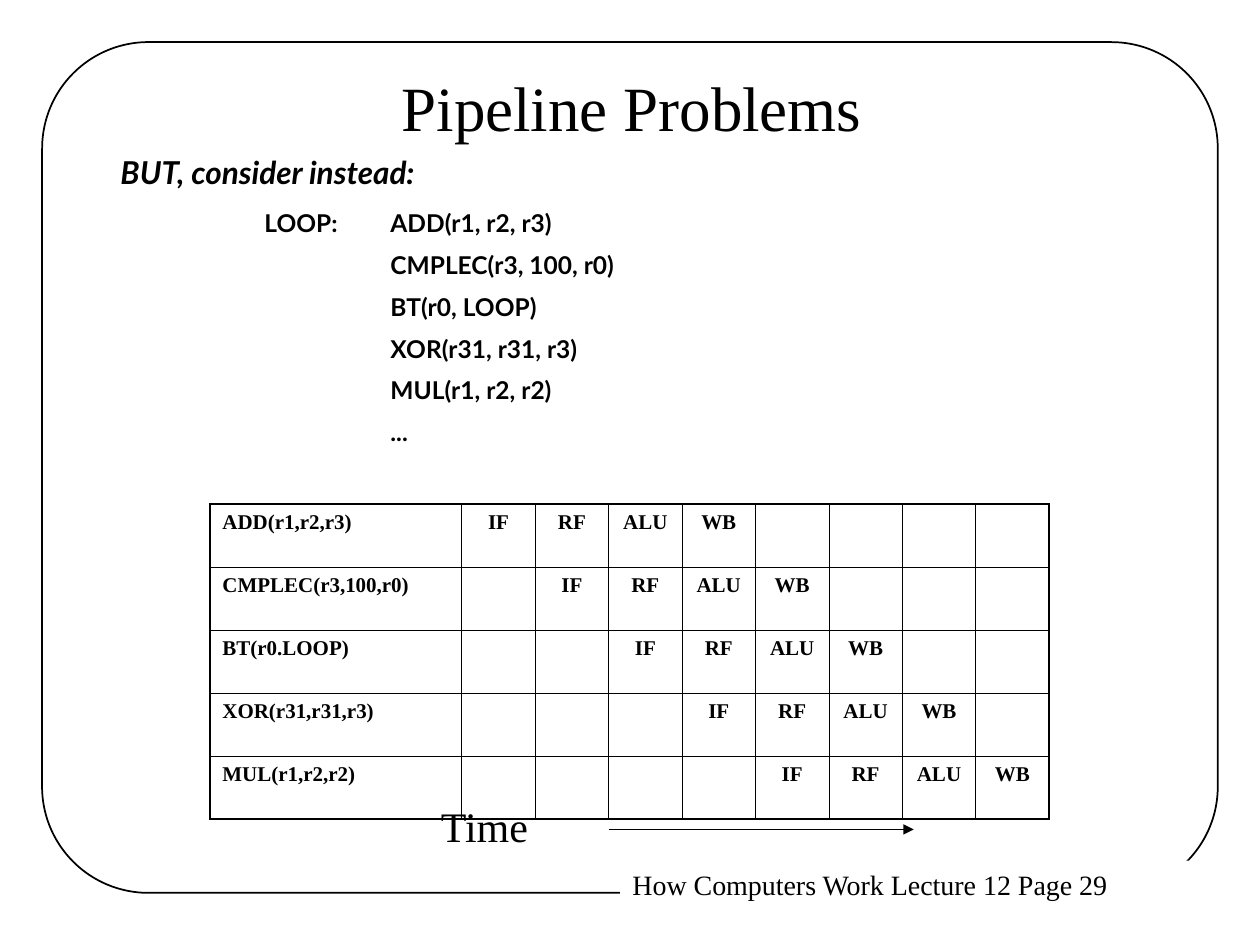
from lxml import etree
from pptx import Presentation
from pptx.dml.color import RGBColor
from pptx.enum.shapes import MSO_CONNECTOR, MSO_SHAPE
from pptx.enum.text import MSO_ANCHOR, MSO_AUTO_SIZE, PP_ALIGN
from pptx.oxml.ns import qn
from pptx.util import Cm, Pt

ROUNDED, RECTANGLE = MSO_SHAPE.ROUNDED_RECTANGLE, MSO_SHAPE.RECTANGLE
STRAIGHT = MSO_CONNECTOR.STRAIGHT
TOP, MIDDLE = MSO_ANCHOR.TOP, MSO_ANCHOR.MIDDLE
LEFT, CENTER = PP_ALIGN.LEFT, PP_ALIGN.CENTER
NO_FIT = MSO_AUTO_SIZE.NONE

# Content
TITLE = "Pipeline Problems"
LEAD = "BUT, consider instead:"
PROGRAM = [
    "LOOP:\tADD(r1, r2, r3)",
    "CMPLEC(r3, 100, r0)",
    "BT(r0, LOOP)",
    "XOR(r31, r31, r3)",
    "MUL(r1, r2, r2)",
    "...",
]
INSTRUCTIONS = ["ADD(r1,r2,r3)", "CMPLEC(r3,100,r0)", "BT(r0.LOOP)",
                "XOR(r31,r31,r3)", "MUL(r1,r2,r2)"]
STAGES = ["IF", "RF", "ALU", "WB"]
AXIS = "Time"
FOOTER = "How Computers Work Lecture 12 Page 29"

THEME = {
    "ink": RGBColor(0, 0, 0), "paper": RGBColor(255, 255, 255),
    "serif": "Times New Roman", "sans": "Lato",
    "title": 36, "axis": 24, "lead": 18, "footer": 16, "code": 14, "cell": 12,
    "rule": 1, "grid": 0.45, "edge": 1.08,
}

# Layout
CODE_INDENT = Cm(2.54)
NAME_WIDTH, CYCLE_WIDTH, ROW_HEIGHT = Cm(5.08), Cm(1.48), Cm(1.27)
CYCLES = len(INSTRUCTIONS) + len(STAGES) - 1


def write(paragraph, text, size, font="serif", bold=False, italic=False,
          align=LEFT, spacing=None, before=0):
    paragraph.alignment = align
    paragraph.space_before = Pt(before)
    if spacing:
        paragraph.line_spacing = spacing
    run = paragraph.add_run()
    run.text = text
    run.font.name = THEME[font]
    run.font.size = Pt(THEME[size])
    run.font.bold, run.font.italic = bold, italic
    run.font.color.rgb = THEME["ink"]


def prepare(frame, anchor=TOP, wrap=True, side=Cm(0.25), edge=Cm(0.13)):
    frame.word_wrap = wrap
    frame.auto_size = NO_FIT
    frame.vertical_anchor = anchor
    frame.margin_left = frame.margin_right = side
    frame.margin_top = frame.margin_bottom = edge
    return frame.paragraphs[0]


def place(placeholder, left, top, width, height):
    placeholder.left, placeholder.top = left, top
    placeholder.width, placeholder.height = width, height


def add_label(left, top, width, height, text, size, **style):
    label = slide.shapes.add_textbox(left, top, width, height)
    write(prepare(label.text_frame, wrap=False), text, size, **style)


def rule_off(cell, **widths):
    properties = cell._tc.get_or_add_tcPr()
    for side in "LRTB":
        border = etree.SubElement(properties, qn(f"a:ln{side}"), w=str(Pt(widths[side])))
        fill = etree.SubElement(border, qn("a:solidFill"))
        etree.SubElement(fill, qn("a:srgbClr"), val=str(THEME["ink"]))


deck = Presentation()
deck.slide_width, deck.slide_height = Cm(25.4), Cm(19.05)
slide = deck.slides.add_slide(deck.slide_layouts[1])

# Page frame, opened by the footer
frame = slide.shapes.add_shape(ROUNDED, Cm(0.85), Cm(0.85), Cm(23.7), Cm(17.15))
frame.adjustments[0] = 0.125
frame.shadow.inherit = False
frame.fill.background()
frame.line.color.rgb = THEME["ink"]
frame.line.width = Pt(THEME["rule"])

footer = slide.shapes.add_shape(RECTANGLE, Cm(12.5), Cm(17.35), Cm(11.94), Cm(0.94))
footer.shadow.inherit = False
footer.fill.solid()
footer.fill.fore_color.rgb = THEME["paper"]
footer.line.fill.background()
write(prepare(footer.text_frame), FOOTER, "footer")

# Title and lead: narrow margins keep the title on one line
title = slide.shapes.title
place(title, Cm(7.92), Cm(1.3), Cm(9.63), Cm(1.68))
write(prepare(title.text_frame, MIDDLE, side=Cm(0.05), edge=Cm(0.08)),
      TITLE, "title", align=CENTER)
add_label(Cm(2.18), Cm(3.05), Cm(7.16), Cm(0.94), LEAD, "lead",
          font="sans", bold=True, italic=True, spacing=0.9)

# Program listing: the label hangs left of the instructions
program = slide.placeholders[1]
place(program, Cm(5.08), Cm(4.13), Cm(16.08), Cm(5))
line = prepare(program.text_frame)
for number, instruction in enumerate(PROGRAM):
    if number:
        line = program.text_frame.add_paragraph()
    properties = line._p.get_or_add_pPr()
    properties.set("marL", str(CODE_INDENT))
    properties.set("indent", str(0 if number else -CODE_INDENT))
    etree.SubElement(properties, qn("a:buNone"))
    tabs = etree.SubElement(properties, qn("a:tabLst"))
    etree.SubElement(tabs, qn("a:tab"), pos=str(CODE_INDENT), algn="l")
    write(line, instruction, "code", font="sans", bold=True, spacing=0.9,
          before=8.8 if number else 0)

# Pipeline table: each instruction starts one cycle after the one above
rows, columns = len(INSTRUCTIONS), CYCLES + 1
pipeline = slide.shapes.add_table(
    rows, columns, Cm(4.23), Cm(10.16),
    NAME_WIDTH + CYCLES * CYCLE_WIDTH, rows * ROW_HEIGHT).table
pipeline.first_row = pipeline.horz_banding = False
for index, column in enumerate(pipeline.columns):
    column.width = CYCLE_WIDTH if index else NAME_WIDTH
for start, instruction in enumerate(INSTRUCTIONS):
    pipeline.rows[start].height = ROW_HEIGHT
    waiting = [""] * start
    finished = [""] * (CYCLES - start - len(STAGES))
    for index, text in enumerate([instruction] + waiting + STAGES + finished):
        cell = pipeline.cell(start, index)
        outer = {"L": index == 0, "R": index == columns - 1,
                 "T": start == 0, "B": start == rows - 1}
        rule_off(cell, **{side: THEME["edge" if edge else "grid"]
                          for side, edge in outer.items()})
        cell.fill.background()
        if text:
            write(cell.text_frame.paragraphs[0], text, "cell", bold=True,
                  align=CENTER if index else LEFT)

# Time axis
add_label(Cm(8.64), Cm(16), Cm(2.49), Cm(1.27), AXIS, "axis")
arrow = slide.shapes.add_connector(STRAIGHT, Cm(12.27), Cm(16.72), Cm(18.42), Cm(16.72))
arrow.line.color.rgb = THEME["ink"]
arrow.line.width = Pt(THEME["rule"])
etree.SubElement(arrow.line._get_or_add_ln(), qn("a:tailEnd"), type="triangle")
etree.SubElement(arrow._element.spPr, qn("a:effectLst"))

deck.save("out.pptx")
